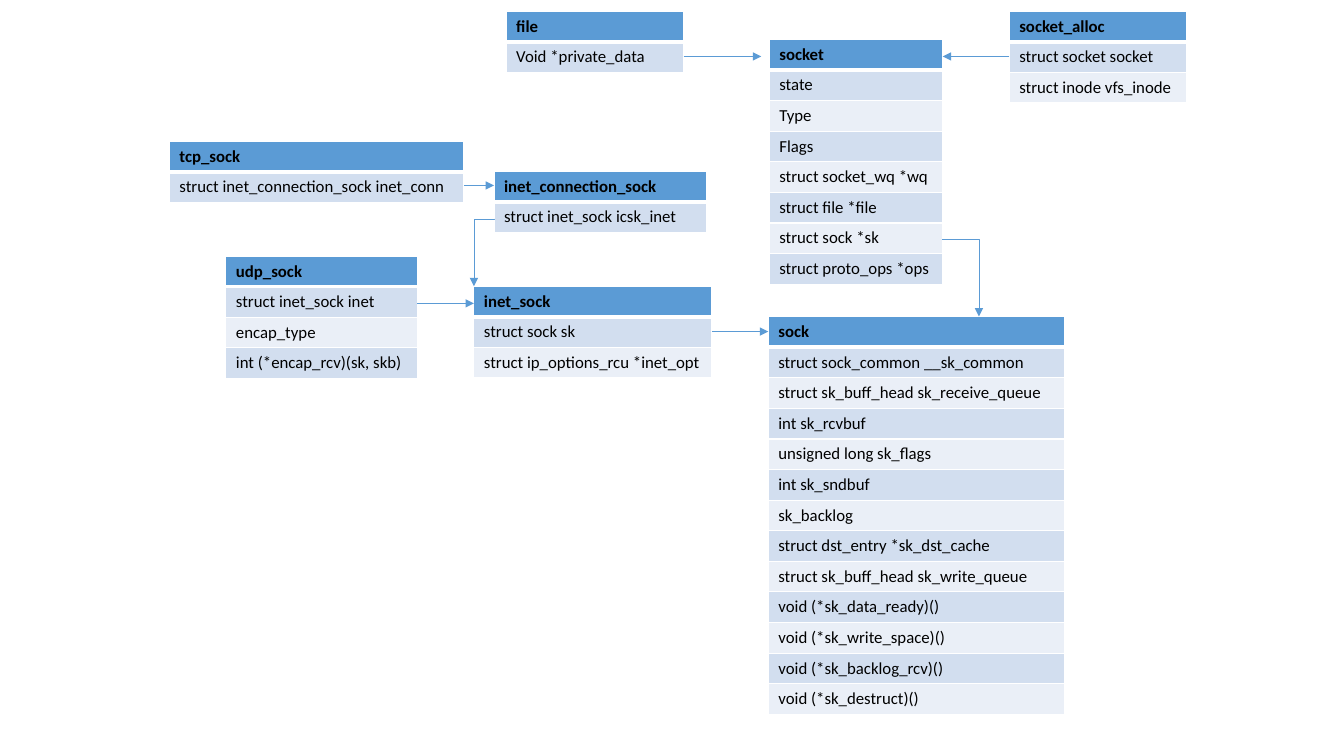
from lxml import etree
from pptx import Presentation
from pptx import util as u
from pptx.dml.color import RGBColor
from pptx.enum import shapes
from pptx.oxml import ns

PX = 9144
ROW_H = 30
BLUE, PALE, PALER, WHITE, BLACK = "5B9BD5", "D2DEEF", "EAEFF7", "FFFFFF", "000000"

STRUCTS = [
    (224, 254, 190, "udp_sock",
     ["struct inet_sock inet", "encap_type", "int (*encap_rcv)(sk, skb)"]),
    (470, 284, 236, "inet_sock",
     ["struct sock sk", "struct ip_options_rcu *inet_opt"]),
    (762, 314, 294, "sock",
     ["struct sock_common __sk_common", "struct sk_buff_head sk_receive_queue",
      "int sk_rcvbuf", "unsigned long sk_flags", "int sk_sndbuf", "sk_backlog",
      "struct dst_entry *sk_dst_cache", "struct sk_buff_head sk_write_queue",
      "void (*sk_data_ready)()", "void (*sk_write_space)()",
      "void (*sk_backlog_rcv)()", "void (*sk_destruct)()"]),
    (763, 39, 172, "socket",
     ["state", "Type", "Flags", "struct socket_wq *wq", "struct file *file",
      "struct sock *sk", "struct proto_ops *ops"]),
    (1001, 11, 176, "socket_alloc",
     ["struct socket socket", "struct inode vfs_inode"]),
    (502, 11, 176, "file", ["Void *private_data"]),
    (168, 140, 292, "tcp_sock", ["struct inet_connection_sock inet_conn"]),
    (490, 170, 211, "inet_connection_sock", ["struct inet_sock icsk_inet"]),
]
ARROWS = [
    (1001, 56, 935, 56),
    (678, 56, 755, 56),
    (414, 301, 470, 301),
    (706, 329, 762, 329),
    (460, 184, 490, 184),
]
BENT_ARROWS = [
    (935, 238, 971, 314, -1200),
    (490, 217, 470, 284, 900),
]


def color(value):
    return RGBColor.from_string(value)


def put_text(tf, content, size=12, bold=False, fill=BLACK, font="Calibri"):
    r = tf.paragraphs[0].add_run()
    r.text = content
    r.font.size = u.Pt(size)
    r.font.bold = bold
    r.font.name = font
    r.font.color.rgb = color(fill)


def add_border(cell, side, width):
    tc_pr = cell._tc.get_or_add_tcPr()
    ln = etree.SubElement(tc_pr, ns.qn("a:ln" + side), w=str(u.Pt(width)))
    fill = etree.SubElement(ln, ns.qn("a:solidFill"))
    etree.SubElement(fill, ns.qn("a:srgbClr"), val=WHITE)


def add_struct(s, left, top, width, name, fields):
    rows = [name] + fields
    frame = s.shapes.add_table(len(rows), 1, left * PX, top * PX,
                               width * PX, len(rows) * ROW_H * PX)
    for i, content in enumerate(rows):
        cell = frame.table.cell(i, 0)
        widths = {"L": 1, "R": 1, "T": 3 if i == 1 else 1, "B": 3 if i == 0 else 1}
        for side, weight in widths.items():
            add_border(cell, side, weight)
        cell.fill.solid()
        cell.fill.fore_color.rgb = color(BLUE if i == 0 else PALE if i % 2 else PALER)
        put_text(cell.text_frame, content, bold=i == 0)


def add_arrow(s, x1, y1, x2, y2, kind=shapes.MSO_CONNECTOR.STRAIGHT):
    line = s.shapes.add_connector(kind, x1 * PX, y1 * PX, x2 * PX, y2 * PX)
    line.line.color.rgb = color(BLUE)
    line.line.width = u.Pt(0.5)
    sp_pr = line._element.spPr
    etree.SubElement(sp_pr.find(ns.qn("a:ln")), ns.qn("a:tailEnd"), type="triangle")
    etree.SubElement(sp_pr, ns.qn("a:effectLst"))
    return line


def add_bent_arrow(s, x1, y1, x2, y2, bend):
    line = add_arrow(s, x1, y1, x2, y2, shapes.MSO_CONNECTOR.ELBOW)
    w, h = abs(x2 - x1), y2 - y1
    line.left = int((x1 + x2 - h) / 2 * PX)
    line.top = int((y1 + y2 - w) / 2 * PX)
    line.width, line.height = h * PX, w * PX
    rightward = x2 > x1
    xfrm = line._element.spPr.find(ns.qn("a:xfrm"))
    xfrm.set("rot", str((270 if rightward else 90) * 60000))
    xfrm.set("flipH", "1" if rightward else "0")
    guides = line._element.spPr.find(".//" + ns.qn("a:avLst"))
    etree.SubElement(guides, ns.qn("a:gd"), name="adj1", fmla=f"val {bend}")


def main():
    prs = Presentation()
    prs.slide_width, prs.slide_height = 1333 * PX, 750 * PX
    s = prs.slides.add_slide(prs.slide_layouts[6])
    for struct in STRUCTS:
        add_struct(s, *struct)
    for arrow in ARROWS:
        add_arrow(s, *arrow)
    for arrow in BENT_ARROWS:
        add_bent_arrow(s, *arrow)
    prs.save("out.pptx")


if __name__ == "__main__":
    main()
